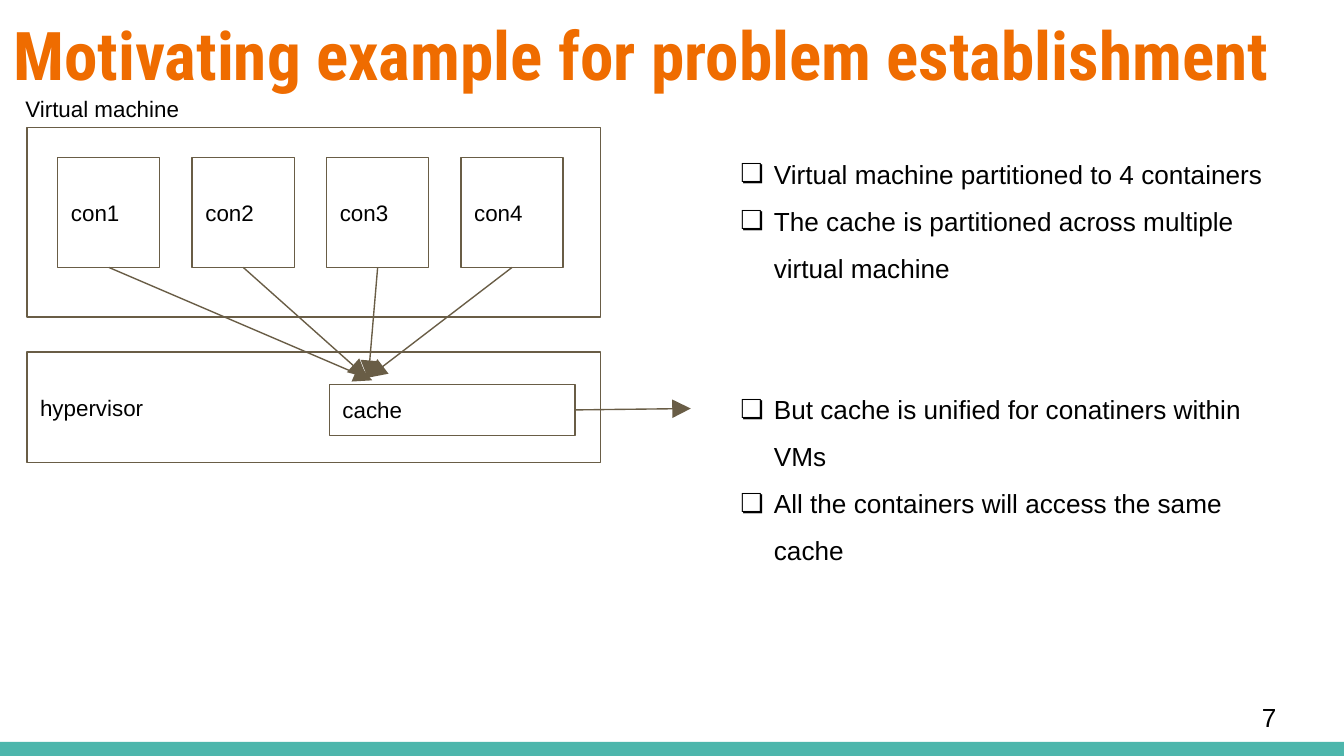
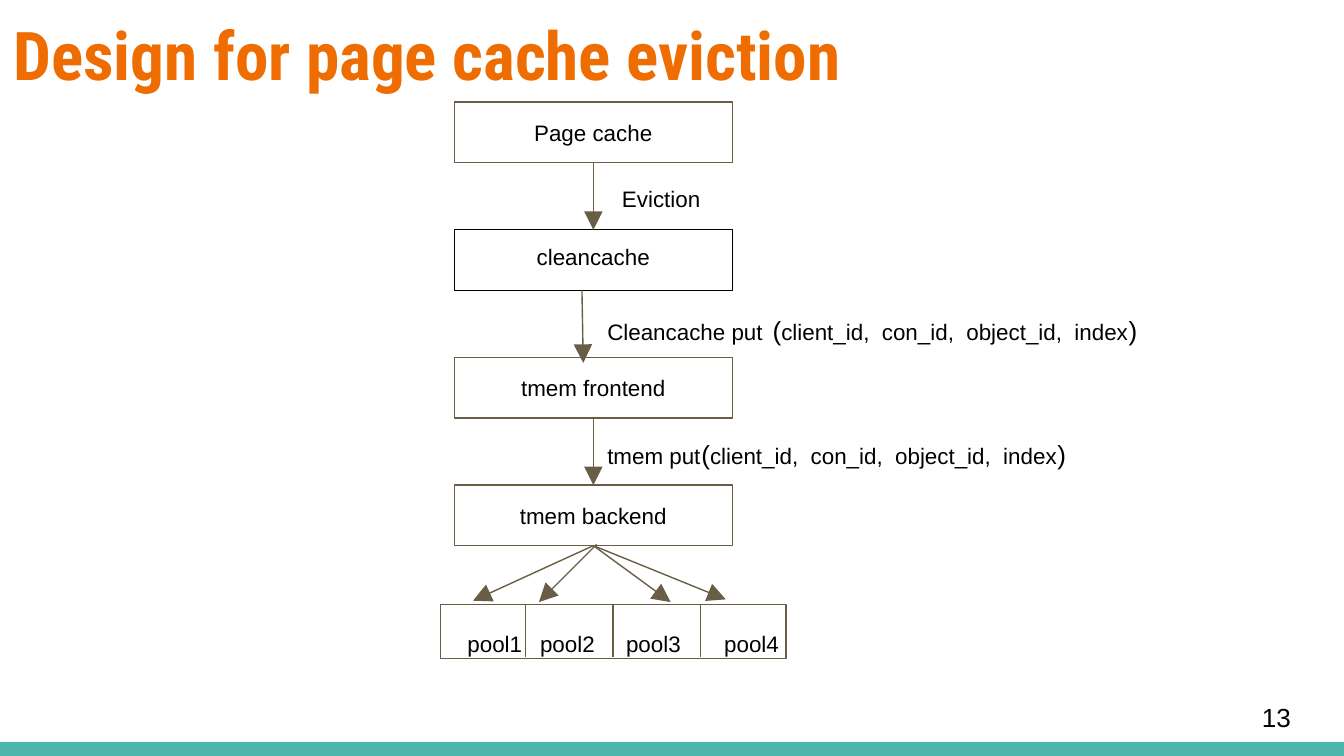
"""Builds two slides on container caches and page cache eviction."""
from lxml.etree import SubElement
from pptx import Presentation
from pptx.dml.color import RGBColor
from pptx.enum.shapes import MSO_CONNECTOR as Line, MSO_SHAPE as Shape
from pptx.enum.text import MSO_ANCHOR as Anchor, PP_ALIGN as Align
from pptx.oxml.ns import qn
from pptx.util import Inches, Pt

ORANGE = RGBColor(0xEF, 0x6C, 0x00)
TEAL = RGBColor(0x4D, 0xB6, 0xAC)
BROWN = RGBColor(0x69, 0x5D, 0x46)
BLACK = RGBColor(0, 0, 0)
WHITE = RGBColor(0xFF, 0xFF, 0xFF)
BOTTOM, RIGHT, TOP = 2, 3, 0
ARGS = "client_id,  con_id,  object_id,  index"


def add_run(para, text, size=12, font="Arial", color=BLACK, bold=False):
    """Append one styled run to a paragraph."""
    run = para.add_run()
    run.text = text
    run.font.name = font
    run.font.size = Pt(size)
    run.font.bold = bold
    run.font.color.rgb = color


def set_frame(shape, anchor):
    """Give a shape wrapped text with even margins and return its frame."""
    frame = shape.text_frame
    frame.word_wrap = True
    frame.vertical_anchor = anchor
    frame.margin_left = frame.margin_right = Inches(0.1)
    frame.margin_top = frame.margin_bottom = Inches(0.1)
    return frame


def add_frame(slide, area, anchor=Anchor.TOP):
    """Add a text box and return its frame."""
    box = slide.shapes.add_textbox(*map(Inches, area))
    return set_frame(box, anchor)


def add_label(slide, text, area, anchor=Anchor.TOP, **style):
    """Add a text box holding one run."""
    frame = add_frame(slide, area, anchor)
    add_run(frame.paragraphs[0], text, **style)


def add_box(slide, area, text="", align=Align.LEFT, anchor=Anchor.MIDDLE,
            fill=WHITE, line=BROWN):
    """Add a rectangle, outlined unless line is None."""
    box = slide.shapes.add_shape(Shape.RECTANGLE, *map(Inches, area))
    box.shadow.inherit = False
    box.fill.solid()
    box.fill.fore_color.rgb = fill
    if line is None:
        box.line.fill.background()
    else:
        box.line.color.rgb = line
        box.line.width = Pt(0.75)
    if text:
        para = set_frame(box, anchor).paragraphs[0]
        para.alignment = align
        add_run(para, text)
    return box


def add_line(slide, start, end, arrow=True):
    """Add a straight line; an end is a point or a (box, side) pair."""
    ends = [None if isinstance(e[0], float) else e for e in (start, end)]
    spots = [(0, 0) if j else tuple(map(Inches, e))
             for e, j in zip((start, end), ends)]
    line = slide.shapes.add_connector(Line.STRAIGHT, *spots[0], *spots[1])
    if ends[0]:
        line.begin_connect(*ends[0])
    if ends[1]:
        line.end_connect(*ends[1])
    line.line.color.rgb = BROWN
    line.line.width = Pt(0.75)
    if arrow:
        SubElement(line.line._get_or_add_ln(), qn("a:tailEnd"),
                   type="triangle", w="lg", len="lg")
    SubElement(line._element.spPr, qn("a:effectLst"))


def add_list(slide, area, items):
    """Add a box-bulleted list of (text, space before) items."""
    frame = add_frame(slide, area)
    for i, (text, gap) in enumerate(items):
        para = frame.add_paragraph() if i else frame.paragraphs[0]
        para.line_spacing = 1.5
        para.space_before = Pt(gap)
        props = para._p.get_or_add_pPr()
        props.set("marL", str(Inches(0.5)))
        props.set("indent", str(Inches(-0.25)))
        SubElement(props, qn("a:buSzPts"), val="1400")
        SubElement(props, qn("a:buFont"), typeface="Arial")
        SubElement(props, qn("a:buChar"), char="❏")
        add_run(para, text, 14)


def add_args(slide, left, top):
    """Add the bracketed argument list of a put call."""
    para = add_frame(slide, (left, top, 2.96, 0.33)).paragraphs[0]
    for text, size in (("(", 14), (ARGS, 12), (")", 14)):
        add_run(para, text, size)


def add_page(deck, title, number):
    """Add a slide with the band, title and page number."""
    slide = deck.slides.add_slide(deck.slide_layouts[6])
    add_box(slide, (0, 5.52, 10, 0.11), fill=TEAL, line=None)
    add_label(slide, title, (0, 0, 9.66, 0.65), size=36,
              font="Roboto Condensed", color=ORANGE, bold=True)
    add_label(slide, number, (9.29, 5.12, 0.6, 0.43), Anchor.MIDDLE, size=14)
    return slide


def add_motive(deck):
    """Build the slide of containers sharing one cache."""
    slide = add_page(deck, "Motivating example for problem establishment", "7")
    add_label(slide, "Virtual machine", (0.09, 0.61, 9.82, 4.41))
    add_box(slide, (0.2, 0.95, 4.27, 1.41))
    cons = [add_box(slide, (0.43 + i, 1.17, 0.76, 0.82), f"con{i + 1}")
            for i in range(4)]
    add_box(slide, (0.2, 2.62, 4.27, 0.82), "hypervisor")
    cache = add_box(slide, (2.45, 2.86, 1.83, 0.38), "cache")
    add_list(slide, (5.16, 0.96, 4.4, 4.06), (
        ("Virtual machine partitioned to 4 containers", 0),
        ("The cache is partitioned across multiple virtual machine", 0),
        ("But cache is unified for conatiners within VMs", 50.4),
        ("All the containers will access the same cache", 0)))
    add_line(slide, (cache, RIGHT), (5.14, 3.04))
    tips = ((2.77, 2.83), (2.73, 2.81), (2.74, 2.82), (2.74, 2.81))
    for con, tip in zip(cons, tips):
        add_line(slide, (con, BOTTOM), tip)


def add_design(deck):
    """Build the slide of the eviction path down to the pools."""
    slide = add_page(deck, "Design for page cache eviction", "13")
    steps = (("Page cache", Anchor.MIDDLE, BROWN),
             ("cleancache", Anchor.TOP, BLACK),
             ("tmem frontend", Anchor.MIDDLE, BROWN),
             ("tmem backend", Anchor.MIDDLE, BROWN))
    page, clean, front, back = [
        add_box(slide, (3.38, 0.76 + 0.95 * i, 2.07, 0.45), text,
                Align.CENTER, anchor, line=line)
        for i, (text, anchor, line) in enumerate(steps)]
    add_line(slide, (page, BOTTOM), (clean, TOP))
    add_line(slide, (4.33, 2.16), (4.34, 2.7))
    add_line(slide, (front, BOTTOM), (back, TOP))
    add_label(slide, "Eviction", (4.53, 1.28, 0.86, 0.37))
    add_label(slide, "Cleancache put", (4.42, 2.27, 1.38, 0.37))
    add_label(slide, "tmem put", (4.42, 3.19, 1.08, 0.33))
    add_args(slide, 5.65, 2.24)
    add_args(slide, 5.12, 3.16)

    add_box(slide, (3.28, 4.5, 2.57, 0.4))
    for i in range(3):
        x = 3.91 + 0.65 * i
        add_line(slide, (x, 4.5), (x, 4.89), arrow=False)
    for i, left in enumerate((3.38, 3.92, 4.56, 5.29)):
        add_label(slide, f"pool{i + 1}", (left, 4.59, 0.66, 0.33))
    for tip in ((5.4, 4.46), (4.99, 4.48), (3.52, 4.47)):
        add_line(slide, (back, BOTTOM), tip)
    add_line(slide, (4.44, 4.05), (4.01, 4.48))


def main():
    """Build and save the deck."""
    deck = Presentation()
    deck.slide_width = Inches(10)
    deck.slide_height = Inches(10) * 9 // 16
    add_motive(deck)
    add_design(deck)
    deck.save("out.pptx")


if __name__ == "__main__":
    main()
